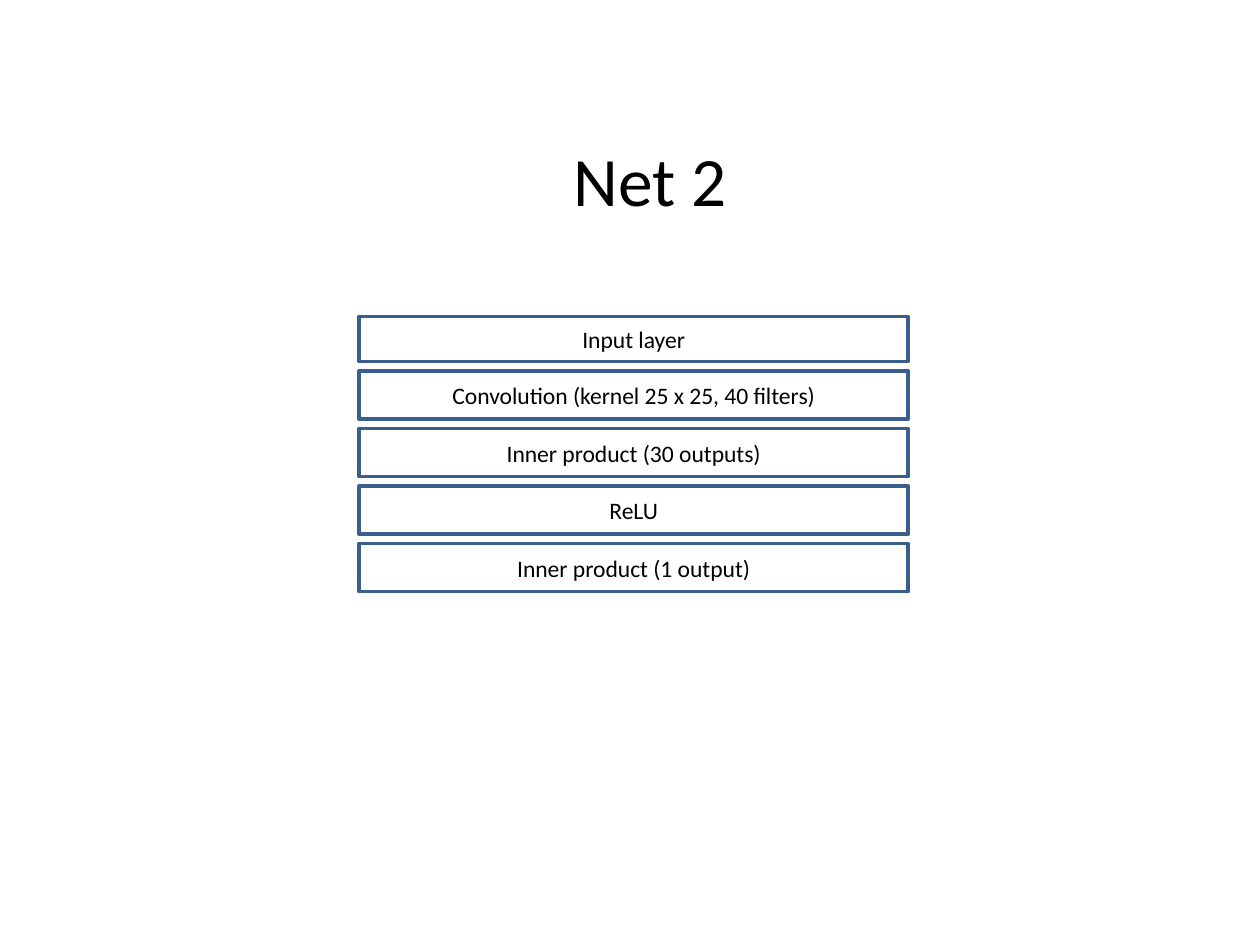
from pptx import Presentation
from pptx.dml.color import RGBColor
from pptx.enum.shapes import MSO_SHAPE as Shape
from pptx.enum.text import MSO_ANCHOR as Anchor, MSO_AUTO_SIZE as AutoSize, PP_ALIGN as Align
from pptx.util import Cm, Pt

FONT = "Calibri"
BLACK, WHITE, BLUE = "000000", "FFFFFF", "3A5F8C"

# Network layers from top to bottom: label and box height in cm
LAYERS = [
    ("Input layer", 0.91),
    ("Convolution (kernel 25 x 25, 40 filters)", 0.97),
    ("Inner product (30 outputs)", 0.97),
    ("ReLU", 0.97),
    ("Inner product (1 output)", 0.97),
]
STACK_LEFT, STACK_TOP, STACK_WIDTH, GAP = 7.24, 6.38, 11.07, 0.19


def color(hex_code):
    return RGBColor.from_string(hex_code)


def write_centered(frame, text, size):
    frame.word_wrap = True
    frame.auto_size = AutoSize.NONE
    frame.vertical_anchor = Anchor.MIDDLE
    para = frame.paragraphs[0]
    para.alignment = Align.CENTER
    span = para.add_run()
    span.text = text
    span.font.name = FONT
    span.font.size = Pt(size)
    span.font.color.rgb = color(BLACK)


def set_title(page, text):
    title = page.shapes.title
    title.left, title.top = Cm(3.3), Cm(2.57)
    title.width, title.height = Cm(19.61), Cm(2.06)
    write_centered(title.text_frame, text, 39.6)


def add_layer_box(page, label, top, height):
    box = page.shapes.add_shape(
        Shape.RECTANGLE, Cm(STACK_LEFT), Cm(top), Cm(STACK_WIDTH), Cm(height))
    box.shadow.inherit = False
    box.fill.solid()
    box.fill.fore_color.rgb = color(WHITE)
    box.line.color.rgb = color(BLUE)
    box.line.width = Pt(2)
    frame = box.text_frame
    frame.margin_left = frame.margin_right = Cm(0.18)
    frame.margin_top = frame.margin_bottom = Cm(0.1)
    write_centered(frame, label, 13.5)


def main():
    deck = Presentation()
    deck.slide_width, deck.slide_height = Cm(25.4), Cm(19.05)
    page = deck.slides.add_slide(deck.slide_layouts[5])
    page.background.fill.solid()
    page.background.fill.fore_color.rgb = color(WHITE)

    set_title(page, "Net 2")

    # Stack the layers with equal gaps
    top = STACK_TOP
    for label, height in LAYERS:
        add_layer_box(page, label, top, height)
        top += height + GAP

    deck.save("out.pptx")


if __name__ == "__main__":
    main()
